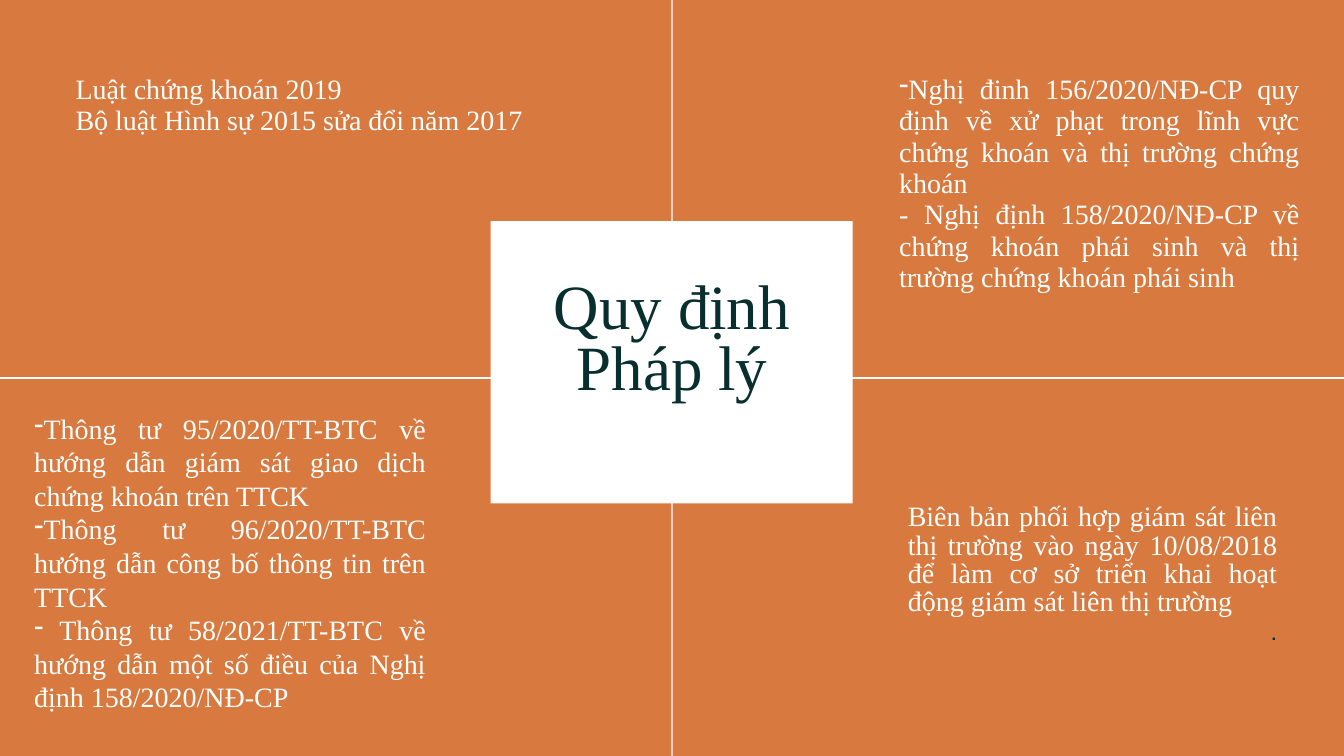
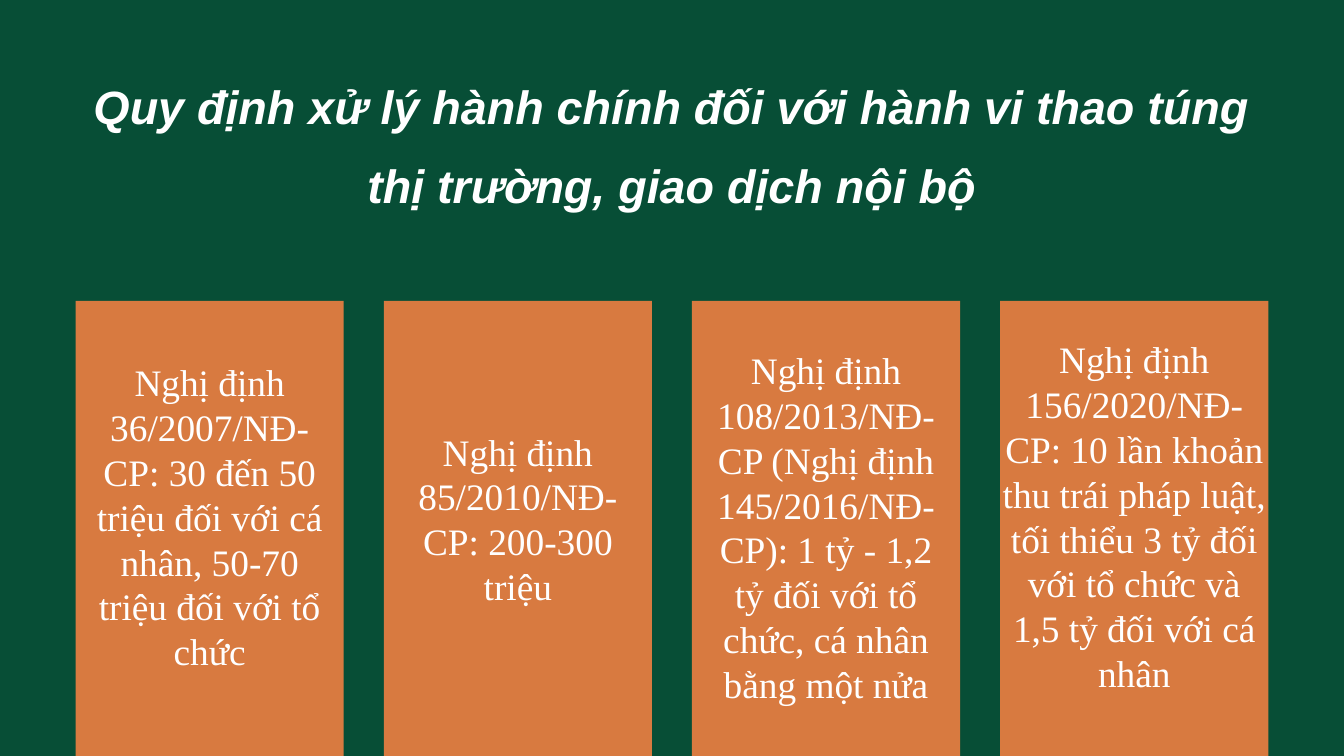
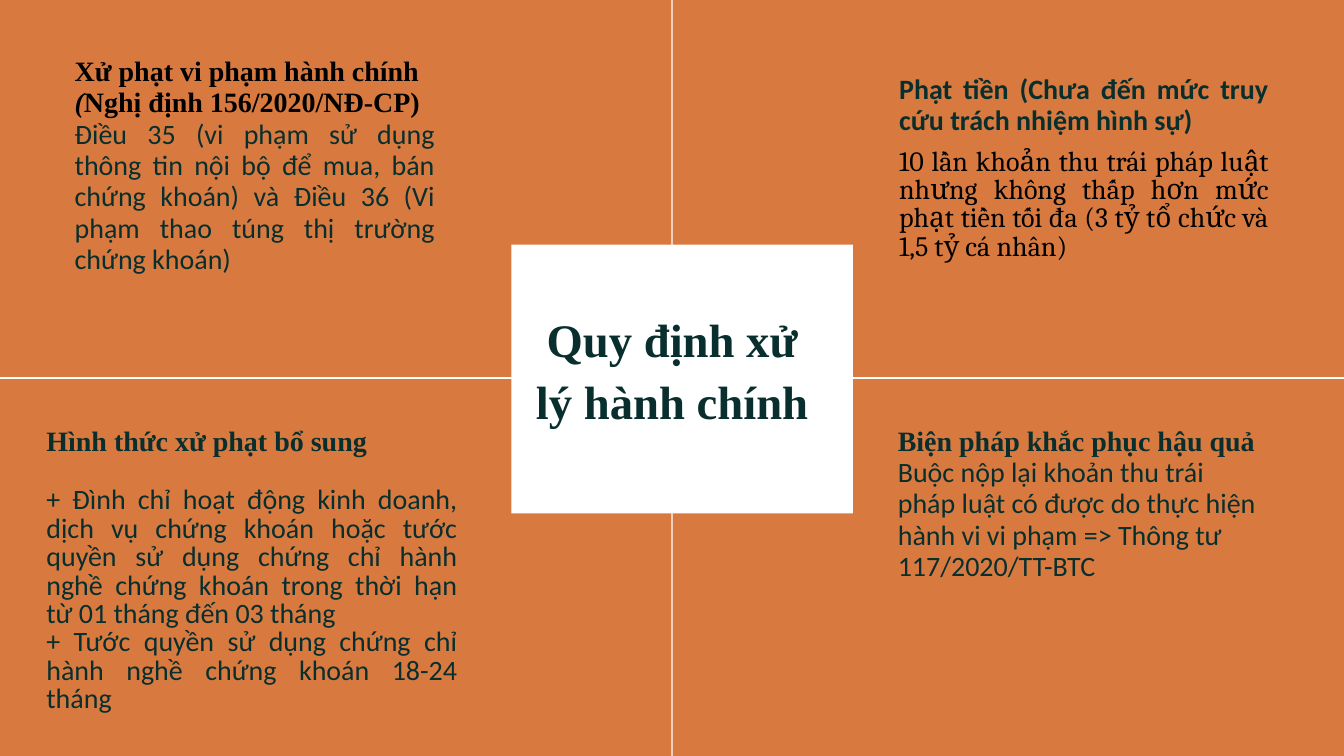
from dataclasses import dataclass
from typing import Optional

from lxml.etree import SubElement
from pptx import Presentation
from pptx.dml.color import RGBColor
from pptx.enum.shapes import MSO_SHAPE as Preset
from pptx.enum.text import MSO_AUTO_SIZE as AutoSize, PP_ALIGN as Align
from pptx.oxml.ns import qn
from pptx.slide import Slide
from pptx.util import Pt

ORANGE = RGBColor(0xD8, 0x7A, 0x40)
GREEN = RGBColor(0x07, 0x4E, 0x36)
INK = RGBColor(0x08, 0x2E, 0x2D)
WHITE = RGBColor(0xFF, 0xFF, 0xFF)
BLACK = RGBColor(0, 0, 0)

SERIF = "Times New Roman"
SANS = "Calibri"

SLIDE_W, SLIDE_H = 1440, 810
GAP_W, GAP_H = 1.5, 2.2
BODY_LEADING, TIGHT_LEADING = 33.6, 30.4
CARD_LEFT, CARD_TOP, CARD_W, CARD_STEP = 81, 322.5, 287.3, 330.2


@dataclass(frozen=True)
class Run:
    text: str
    color: RGBColor = WHITE
    font: str = SERIF
    size: float = 30
    bold: bool = False
    italic: bool = False


@dataclass(frozen=True)
class Para:
    runs: tuple[Run, ...]
    align: Align = Align.JUSTIFY
    leading: Optional[float] = BODY_LEADING
    bullet: bool = False
    indent: float = 0


@dataclass(frozen=True)
class Box:
    left: float
    top: float
    width: float
    height: float


@dataclass(frozen=True)
class TextBlock:
    box: Box
    paras: tuple[Para, ...]


@dataclass(frozen=True)
class Penalty:
    text: str
    top: float
    height: float
    width: float = 242.6


def white(text: str, **layout) -> Para:
    return Para((Run(text),), **layout)


def ink(text: str, font: str = SANS, bold: bool = False, **layout) -> Para:
    return Para((Run(text, INK, font, bold=bold),), **layout)


def add_panel(slide: Slide, box: Box, color: RGBColor) -> None:
    panel = slide.shapes.add_shape(
        Preset.RECTANGLE, Pt(box.left), Pt(box.top), Pt(box.width), Pt(box.height))
    panel.shadow.inherit = False
    panel.fill.solid()
    panel.fill.fore_color.rgb = color
    panel.line.fill.background()


def add_text(slide: Slide, block: TextBlock) -> None:
    box = block.box
    frame = slide.shapes.add_textbox(
        Pt(box.left), Pt(box.top), Pt(box.width), Pt(box.height)).text_frame
    frame_format = {"word_wrap": True, "auto_size": AutoSize.SHAPE_TO_FIT_TEXT,
                    "margin_left": 0, "margin_top": 0,
                    "margin_right": 0, "margin_bottom": 0}
    for name, value in frame_format.items():
        setattr(frame, name, value)
    for index, para in enumerate(block.paras):
        paragraph = frame.add_paragraph() if index else frame.paragraphs[0]
        if para.bullet:
            properties = paragraph._p.get_or_add_pPr()
            properties.set("marL", "0")
            properties.set("indent", str(Pt(para.indent)))
            SubElement(properties, qn("a:buChar"), char="-")
        paragraph.alignment = para.align
        if para.leading:
            paragraph.line_spacing = Pt(para.leading)
        for run in para.runs:
            piece = paragraph.add_run()
            piece.text = run.text
            piece.font.color.rgb = run.color
            run_format = {"name": run.font, "size": Pt(run.size),
                          "bold": run.bold, "italic": run.italic}
            for name, value in run_format.items():
                setattr(piece.font, name, value)


def add_slide(deck: Presentation, background: RGBColor) -> Slide:
    slide = deck.slides.add_slide(deck.slide_layouts[6])
    slide.background.fill.solid()
    slide.background.fill.fore_color.rgb = background
    return slide


def add_quadrant_slide(deck: Presentation, center: Box, title: TextBlock,
                       topics: tuple[TextBlock, ...]) -> None:
    """Four orange quarters with a topic in each and a white title panel."""
    slide = add_slide(deck, WHITE)
    width, height = (SLIDE_W - GAP_W) / 2, (SLIDE_H - GAP_H) / 2
    for top in (0, height + GAP_H):
        for left in (0, width + GAP_W):
            add_panel(slide, Box(left, top, width, height), ORANGE)
    for topic in topics:
        add_text(slide, topic)
    add_panel(slide, center, WHITE)
    add_text(slide, title)


def add_penalty_slide(deck: Presentation, title: TextBlock,
                      penalties: tuple[Penalty, ...]) -> None:
    slide = add_slide(deck, GREEN)
    add_text(slide, title)
    for index, penalty in enumerate(penalties):
        left = CARD_LEFT + index * CARD_STEP
        add_panel(slide, Box(left, CARD_TOP, CARD_W, SLIDE_H - CARD_TOP), ORANGE)
        text_box = Box(left + (CARD_W - penalty.width) / 2, penalty.top,
                       penalty.width, penalty.height)
        label = Para((Run(penalty.text, size=40),), Align.CENTER, None)
        add_text(slide, TextBlock(text_box, (label,)))


LEGAL_TITLE = TextBlock(Box(564.5, 300, 311, 133), (
    Para((Run("Quy định Pháp lý", INK, size=67.5),), Align.CENTER, 66.1),))
LEGAL_TOPICS = (
    TextBlock(Box(81, 79, 507, 68), (
        white("Luật chứng khoán 2019", align=Align.LEFT),
        white("Bộ luật Hình sự 2015 sửa đổi năm 2017", align=Align.LEFT))),
    TextBlock(Box(36.7, 440.6, 419.8, 327), (
        white("Thông tư 95/2020/TT-BTC về hướng dẫn giám sát giao dịch chứng khoán "
              "trên TTCK", leading=None, bullet=True),
        white("Thông tư 96/2020/TT-BTC hướng dẫn công bố thông tin trên TTCK",
              leading=None, bullet=True),
        white(" Thông tư 58/2021/TT-BTC về hướng dẫn một số điều của Nghị định "
              "158/2020/NĐ-CP", leading=None, bullet=True))),
    TextBlock(Box(972.7, 540, 396, 152.6), (
        white("Biên bản phối hợp giám sát liên thị trường vào ngày 10/08/2018 để làm "
              "cơ sở triển khai hoạt động giám sát liên thị trường",
              leading=TIGHT_LEADING),
        ink(".", "Manrope", align=Align.RIGHT, leading=TIGHT_LEADING))),
    TextBlock(Box(963.4, 79, 429, 274), (
        white("Nghị đinh 156/2020/NĐ-CP quy định về xử phạt trong lĩnh vực chứng khoán "
              "và thị trường chứng khoán", bullet=True, indent=-27),
        white("- Nghị định 158/2020/NĐ-CP về chứng khoán phái sinh và thị trường "
              "chứng khoán phái sinh"))),
)

PENALTY_TITLE = TextBlock(Box(81, 58.3, 1278, 166.3), (
    Para((Run("Quy định xử lý hành chính đối với hành vi thao túng thị trường, "
              "giao dịch nội bộ", WHITE, "Arial", 50, True, True),),
         Align.CENTER, 84.7),))
PENALTIES = (
    Penalty("Nghị định 36/2007/NĐ-CP: 30 đến 50 triệu đối với cá nhân, 50-70 triệu "
            "đối với tổ chức", 385.2, 339),
    Penalty("Nghị định 85/2010/NĐ-CP: 200-300 triệu", 459.4, 193.7),
    Penalty("Nghị định 108/2013/NĐ-CP (Nghị định 145/2016/NĐ-CP): 1 tỷ - 1,2 tỷ đối "
            "với tổ chức, cá nhân bằng một nửa", 372.2, 388),
    Penalty("Nghị định 156/2020/NĐ-CP: 10 lần khoản thu trái pháp luật, tối thiểu "
            "3 tỷ đối với tổ chức và 1,5 tỷ đối với cá nhân", 360.7, 388, CARD_W),
)

ADMIN_TITLE = TextBlock(Box(573, 327, 294.5, 128), (
    Para((Run("Quy định xử lý hành chính", INK, size=50, bold=True),),
         Align.CENTER, 66.1),))
ADMIN_TOPICS = (
    TextBlock(Box(80, 59.8, 386, 274), (
        Para((Run("Xử phạt vi phạm hành chính ", BLACK, bold=True),
              Run("(", BLACK, bold=True, italic=True),
              Run("Nghị định 156/2020/NĐ-CP)", BLACK, bold=True)), Align.LEFT),
        ink("Điều 35 (vi phạm sử dụng thông tin nội bộ để mua, bán chứng khoán) và "
            "Điều 36 (Vi phạm thao túng thị trường chứng khoán)"))),
    TextBlock(Box(49.7, 522, 440.6, 212.4), (
        ink("+ Đình chỉ hoạt động kinh doanh, dịch vụ chứng khoán hoặc tước quyền sử "
            "dụng chứng chỉ hành nghề chứng khoán trong thời hạn từ 01 tháng đến "
            "03 tháng", leading=TIGHT_LEADING),
        ink("+ Tước quyền sử dụng chứng chỉ hành nghề chứng khoán 18-24 tháng",
            leading=TIGHT_LEADING))),
    TextBlock(Box(49.7, 455.8, 440.6, 34.6), (
        ink("Hình thức xử phạt bổ sung", SERIF, True),)),
    TextBlock(Box(962, 455.8, 396, 206), (
        ink("Biện pháp khắc phục hậu quả", SERIF, True, align=Align.LEFT),
        ink("Buộc nộp lại khoản thu trái pháp luật có được do thực hiện hành vi "
            "vi phạm => Thông tư 117/2020/TT-BTC", align=Align.LEFT))),
    TextBlock(Box(963.4, 159, 396, 121), (
        Para((Run("10 lần khoản thu trái pháp luật nhưng không thấp hơn mức phạt tiền "
                  "tối đa (3 tỷ tổ chức và 1,5 tỷ cá nhân)", BLACK, "Cambria"),),
             leading=TIGHT_LEADING),)),
    TextBlock(Box(963.4, 79, 396, 68.4), (
        ink("Phạt tiền (Chưa đến mức truy cứu trách nhiệm hình sự)", bold=True),)),
)


def main() -> None:
    deck = Presentation()
    deck.slide_width, deck.slide_height = Pt(SLIDE_W), Pt(SLIDE_H)
    add_quadrant_slide(deck, Box(525.6, 237, 388, 302.4), LEGAL_TITLE, LEGAL_TOPICS)
    add_penalty_slide(deck, PENALTY_TITLE, PENALTIES)
    add_quadrant_slide(deck, Box(548, 262, 365.7, 288), ADMIN_TITLE, ADMIN_TOPICS)
    deck.save("out.pptx")


if __name__ == "__main__":
    main()
